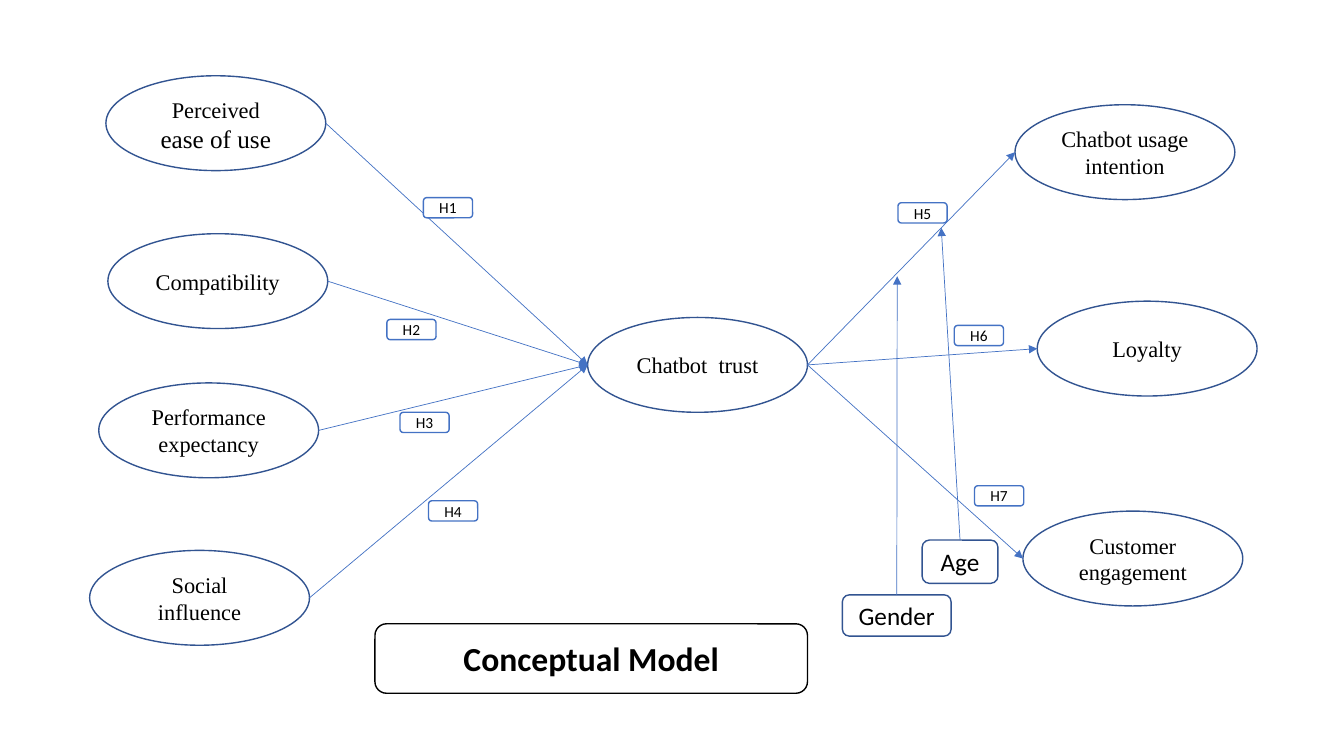
import dataclasses

import lxml.etree
import pptx
import pptx.dml.color
import pptx.enum.shapes
import pptx.enum.text
import pptx.oxml.ns
import pptx.util

Cm = pptx.util.Cm
Pt = pptx.util.Pt
RGB = pptx.dml.color.RGBColor
SHAPE = pptx.enum.shapes.MSO_SHAPE
qn = pptx.oxml.ns.qn


@dataclasses.dataclass(frozen=True)
class Theme:
    paper: RGB = RGB.from_string("FFFFFF")
    ink: RGB = RGB.from_string("000000")
    outline: RGB = RGB.from_string("325491")
    accent: RGB = RGB.from_string("4472C4")
    border: Pt = Pt(1)
    path_width: Pt = Pt(0.5)
    construct: dict = dataclasses.field(
        default_factory=lambda: {"name": "Times New Roman", "size": Pt(16)})
    emphasis: dict = dataclasses.field(
        default_factory=lambda: {"name": "Times New Roman", "size": Pt(18)})
    hypothesis: dict = dataclasses.field(
        default_factory=lambda: {"name": "Calibri", "size": Pt(11)})
    moderator: dict = dataclasses.field(
        default_factory=lambda: {"name": "Calibri", "size": Pt(18)})
    heading: dict = dataclasses.field(
        default_factory=lambda: {"name": "Calibri", "size": Pt(24), "bold": True})


THEME = Theme()
TOP, LEFT, RIGHT = 0, 2, 6

ANTECEDENTS = [
    ([("Perceived", THEME.construct), (" ease of use", THEME.emphasis)], 2.67, 1.91),
    ([("Compatibility", THEME.construct)], 2.72, 5.89),
    ([("Performance expectancy", THEME.construct)], 2.49, 9.65),
    ([("Social influence", THEME.construct)], 2.26, 13.87),
]
OUTCOMES = [
    ([("Chatbot usage intention", THEME.construct)], 25.58, 2.64),
    ([("Loyalty", THEME.construct)], 26.14, 7.59),
    ([("Customer engagement", THEME.construct)], 25.78, 12.88),
]
HYPOTHESES = [
    (10.67, 4.98), (9.75, 8.05), (10.08, 10.39), (10.8, 12.62),
    (22.63, 5.11), (24.05, 8.2), (24.56, 12.24),
]
MODERATORS = [
    ("Gender", (21.23, 14.99, 2.74, 1.04), (22.61, 6.96)),
    ("Age", (23.24, 13.61, 1.91, 1.09), (23.72, 5.74)),
]


def set_values(target, values):
    for attribute, value in values.items():
        setattr(target, attribute, value)


def add_node(slide, kind, box, pieces, outline):
    node = slide.shapes.add_shape(kind, *(Cm(length) for length in box))
    node.shadow.inherit = False
    node.fill.solid()
    node.fill.fore_color.rgb = THEME.paper
    node.line.color.rgb = outline
    node.line.width = THEME.border
    set_values(node.text_frame, {
        "word_wrap": True,
        "vertical_anchor": pptx.enum.text.MSO_ANCHOR.MIDDLE,
    })
    paragraph = node.text_frame.paragraphs[0]
    paragraph.alignment = pptx.enum.text.PP_ALIGN.CENTER
    for wording, font_values in pieces:
        run = paragraph.add_run()
        run.text = wording
        set_values(run.font, font_values)
        run.font.color.rgb = THEME.ink
    return node


def add_construct(slide, pieces, left, top):
    return add_node(slide, SHAPE.OVAL, (left, top, 5.54, 2.39), pieces, THEME.outline)


def site_point(node, site):
    across, down = {TOP: (0.5, 0), LEFT: (0, 0.5), RIGHT: (1, 0.5)}[site]
    return int(node.left + across * node.width), int(node.top + down * node.height)


def add_arrow(slide, start, end):
    arrow = slide.shapes.add_connector(
        pptx.enum.shapes.MSO_CONNECTOR.STRAIGHT, *start, *end)
    arrow.line.color.rgb = THEME.accent
    arrow.line.width = THEME.path_width
    lxml.etree.SubElement(arrow.line._get_or_add_ln(), qn("a:tailEnd"), type="triangle")
    lxml.etree.SubElement(arrow.element.spPr, qn("a:effectLst"))
    return arrow


def add_path(slide, cause, effect):
    arrow = add_arrow(slide, site_point(cause, RIGHT), site_point(effect, LEFT))
    links = arrow.element.find(".//" + qn("p:cNvCxnSpPr"))
    for tag, node, site in (("a:stCxn", cause, RIGHT), ("a:endCxn", effect, LEFT)):
        lxml.etree.SubElement(links, qn(tag), id=str(node.shape_id), idx=str(site))


def add_moderator(slide, wording, box, target):
    moderator = add_node(slide, SHAPE.ROUNDED_RECTANGLE, box,
                         [(wording, THEME.moderator)], THEME.outline)
    arrow = add_arrow(slide, site_point(moderator, TOP), [Cm(length) for length in target])
    arrow.begin_connect(moderator, TOP)


def main():
    deck = pptx.Presentation()
    set_values(deck, {"slide_width": Cm(33.87), "slide_height": Cm(19.05)})
    slide = deck.slides.add_slide(deck.slide_layouts[6])

    trust = add_construct(slide, [("Chatbot  trust", THEME.construct)], 14.81, 8)
    for antecedent in ANTECEDENTS:
        add_path(slide, add_construct(slide, *antecedent), trust)
    for outcome in OUTCOMES:
        add_path(slide, trust, add_construct(slide, *outcome))

    for number, (left, top) in enumerate(HYPOTHESES, start=1):
        add_node(slide, SHAPE.ROUNDED_RECTANGLE, (left, top, 1.24, 0.51),
                 [(f"H{number}", THEME.hypothesis)], THEME.accent)
    for moderator in MODERATORS:
        add_moderator(slide, *moderator)
    add_node(slide, SHAPE.ROUNDED_RECTANGLE, (9.45, 15.72, 10.9, 1.75),
             [("Conceptual Model", THEME.heading)], THEME.ink)

    deck.save("out.pptx")


if __name__ == "__main__":
    main()
